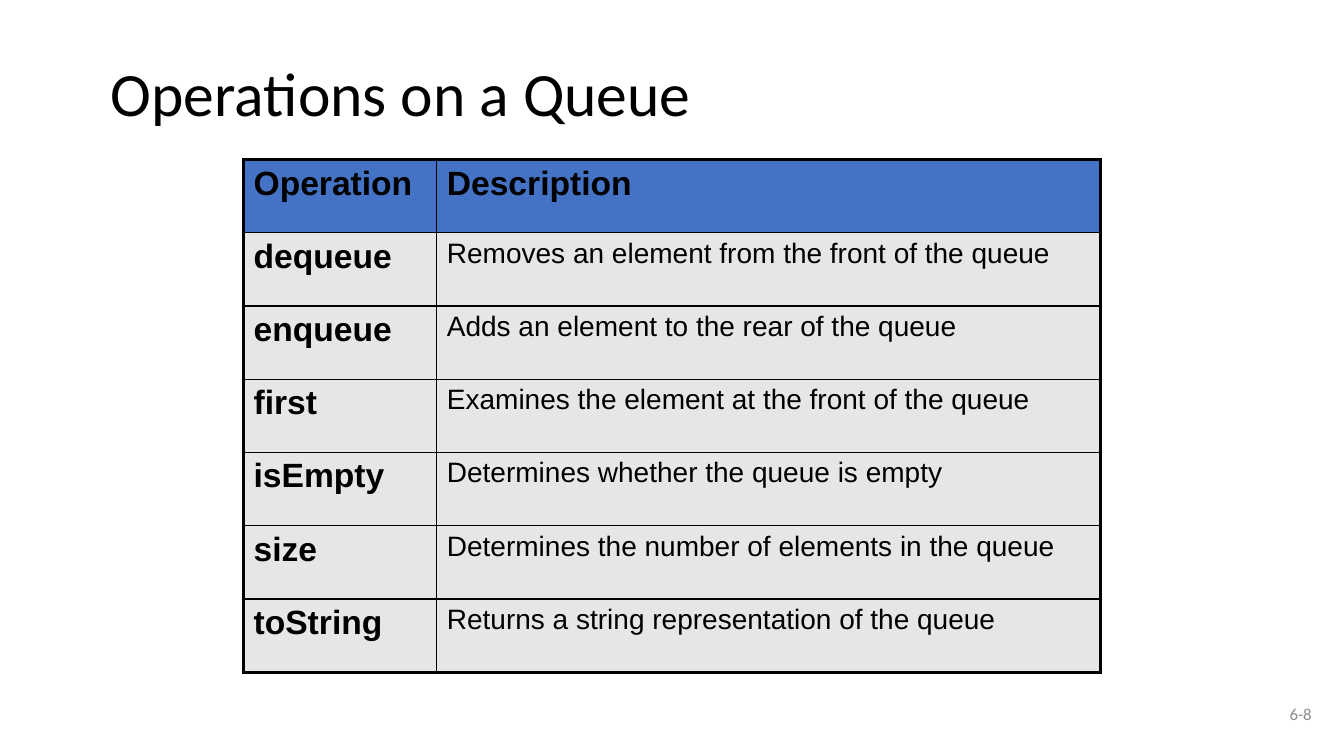
"""Build the slide that lists the operations on a queue."""
import pptx
import pptx.dml.color
import pptx.enum.text
import pptx.oxml
import pptx.oxml.ns
import pptx.util

Pt = pptx.util.Pt
ALIGN = pptx.enum.text.PP_ALIGN
ANCHOR = pptx.enum.text.MSO_ANCHOR
COLOURS = {
    "text": "000000",
    "border": "000000",
    "header": "4472C4",
    "body": "E7E6E6",
    "number": "8C8C8C",
}
ROWS = [
    ("Operation", "Description"),
    ("dequeue", "Removes an element from the front of the queue"),
    ("enqueue", "Adds an element to the rear of the queue"),
    ("first", "Examines the element at the front of the queue"),
    ("isEmpty", "Determines whether the queue is empty"),
    ("size", "Determines the number of elements in the queue"),
    ("toString", "Returns a string representation of the queue"),
]
COLUMN_WIDTHS = [138, 474]
ROW_HEIGHT = 52.3
THIN, THICK = 1, 2.25


def write(frame, text, size, font="Calibri", colour="text", bold=False,
          align=ALIGN.LEFT, spacing=1.0):
    para = frame.paragraphs[0]
    para.alignment = align
    para.line_spacing = spacing
    span = para.add_run()
    span.text = text
    span.font.name = font
    span.font.size = Pt(size)
    span.font.bold = bold
    span.font.color.rgb = pptx.dml.color.RGBColor.from_string(COLOURS[colour])


def add_borders(cell, widths):
    properties = cell._tc.get_or_add_tcPr()
    for position, (side, width) in enumerate(widths.items()):
        line = pptx.oxml.parse_xml(
            f'<a:ln{side} {pptx.oxml.ns.nsdecls("a")} w="{Pt(width)}">'
            f'<a:solidFill><a:srgbClr val="{COLOURS["border"]}"/></a:solidFill>'
            f'</a:ln{side}>')
        properties.insert(position, line)


deck = pptx.Presentation()
deck.slide_width, deck.slide_height = Pt(960), Pt(540)
page = deck.slides.add_slide(deck.slide_layouts[5])

title = page.shapes.title
title.left, title.top, title.width, title.height = Pt(72), Pt(24), Pt(816), Pt(90)
title.text_frame.auto_size = pptx.enum.text.MSO_AUTO_SIZE.NONE
title.text_frame.vertical_anchor = ANCHOR.MIDDLE
write(title.text_frame, "Operations on a Queue", size=44, spacing=0.9)

number_box = page.shapes.add_textbox(Pt(744), Pt(492), Pt(200), Pt(36))
number_box.text_frame.word_wrap = True
number_box.text_frame.vertical_anchor = ANCHOR.MIDDLE
write(number_box.text_frame, "6-8", size=12, colour="number", align=ALIGN.RIGHT)

table = page.shapes.add_table(
    len(ROWS), len(COLUMN_WIDTHS), Pt(174), Pt(114),
    Pt(sum(COLUMN_WIDTHS)), Pt(ROW_HEIGHT * len(ROWS))).table
for column, width in zip(table.columns, COLUMN_WIDTHS):
    column.width = Pt(width)

last_row, last_column = len(ROWS) - 1, len(COLUMN_WIDTHS) - 1
for row_index, row in enumerate(ROWS):
    table.rows[row_index].height = Pt(ROW_HEIGHT)
    is_header = row_index == 0
    for column_index, text in enumerate(row):
        cell = table.cell(row_index, column_index)
        is_label = is_header or column_index == 0
        cell.fill.solid()
        cell.fill.fore_color.rgb = pptx.dml.color.RGBColor.from_string(
            COLOURS["header" if is_header else "body"])
        write(cell.text_frame, text, size=24 if is_label else 20,
              font="Arial", bold=is_label)
        add_borders(cell, {
            "L": THICK if column_index == 0 else THIN,
            "R": THICK if column_index == last_column else THIN,
            "T": THICK if is_header else THIN,
            "B": THICK if row_index == last_row else THIN,
        })

deck.save("out.pptx")
